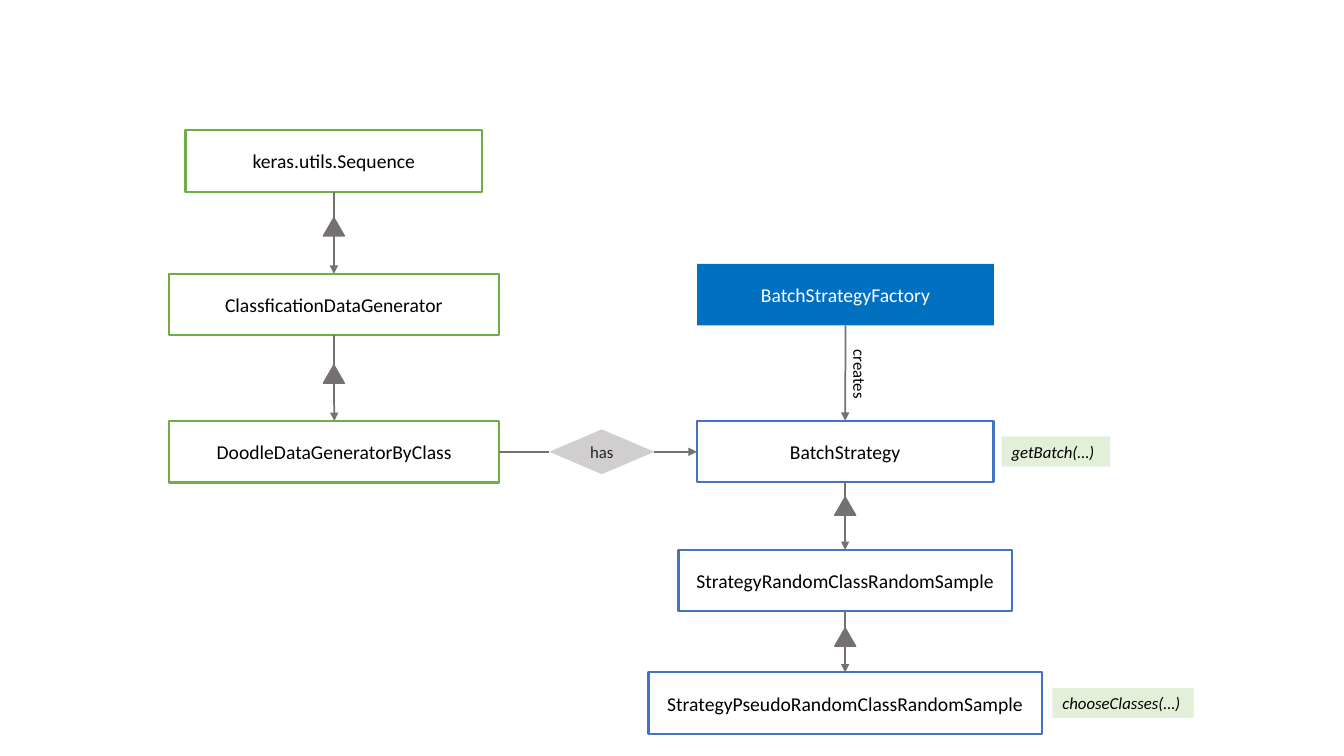
"""Build a class diagram of data generators and batch strategies."""
from dataclasses import dataclass

from lxml import etree
from pptx import Presentation
from pptx.dml.color import RGBColor
from pptx.enum.shapes import MSO_CONNECTOR, MSO_SHAPE
from pptx.enum.text import MSO_ANCHOR, PP_ALIGN
from pptx.oxml.ns import qn
from pptx.util import Pt

RECT, TRIANGLE, DIAMOND = MSO_SHAPE.RECTANGLE, MSO_SHAPE.ISOSCELES_TRIANGLE, MSO_SHAPE.DIAMOND
STRAIGHT = MSO_CONNECTOR.STRAIGHT
MIDDLE, TOP = MSO_ANCHOR.MIDDLE, MSO_ANCHOR.TOP
CENTER, LEFT = PP_ALIGN.CENTER, PP_ALIGN.LEFT


@dataclass(frozen=True)
class Theme:
    font: str = "Calibri"
    class_size: float = 14
    label_size: float = 12
    box_line: float = 1.5
    link_line: float = 1.25
    marker_line: float = 1
    white: str = "FFFFFF"
    black: str = "000000"
    generator: str = "70AD47"
    strategy: str = "4472C4"
    factory: str = "0070C0"
    link: str = "767171"
    relation: str = "D0CECE"
    relation_text: str = "262626"
    method: str = "E2F0D9"


THEME = Theme()
BOX_H = 44
MARKER_W, MARKER_H = 15, 13
METHOD_H = 21.6
GENERATOR_X, STRATEGY_X = 238.5, 603.7


@dataclass(frozen=True)
class ClassBox:
    name: str
    center: float
    top: float
    width: float
    line: str | None
    fill: str = THEME.white
    color: str = THEME.black

    @property
    def left(self) -> float:
        return self.center - self.width / 2

    @property
    def right(self) -> float:
        return self.center + self.width / 2

    @property
    def bottom(self) -> float:
        return self.top + BOX_H

    @property
    def middle(self) -> float:
        return self.top + BOX_H / 2


@dataclass(frozen=True)
class Inheritance:
    parent: ClassBox
    child: ClassBox
    marker_top: float


@dataclass(frozen=True)
class Method:
    text: str
    left: float
    top: float
    width: float


SEQUENCE = ClassBox("keras.utils.Sequence", GENERATOR_X, 93, 212, THEME.generator)
CLASSIFICATION = ClassBox("ClassficationDataGenerator", GENERATOR_X, 195.6, 235.5, THEME.generator)
DOODLE = ClassBox("DoodleDataGeneratorByClass", GENERATOR_X + 0.3, 300.7, 235.5, THEME.generator)
FACTORY = ClassBox("BatchStrategyFactory", STRATEGY_X + 0.3, 188.5, 212, None,
                   THEME.factory, THEME.white)
STRATEGY = ClassBox("BatchStrategy", STRATEGY_X, 300.5, 212, THEME.strategy)
RANDOM = ClassBox("StrategyRandomClassRandomSample", STRATEGY_X, 392.8, 238, THEME.strategy)
PSEUDO = ClassBox("StrategyPseudoRandomClassRandomSample", STRATEGY_X, 480.3, 281, THEME.strategy)

BOXES = [SEQUENCE, CLASSIFICATION, DOODLE, FACTORY, STRATEGY, RANDOM, PSEUDO]
INHERITANCES = [
    Inheritance(SEQUENCE, CLASSIFICATION, 155.5),
    Inheritance(CLASSIFICATION, DOODLE, 260.7),
    Inheritance(STRATEGY, RANDOM, 355),
    Inheritance(RANDOM, PSEUDO, 448.6),
]
METHODS = [
    Method("getBatch(…)", 715.5, 311.8, 77.5),
    Method("chooseClasses(…)", 751.7, 491.3, 101),
]


def add_shape(shapes, kind, left: float, top: float, width: float, height: float,
              fill: str, line: str | None = None, weight: float = THEME.box_line):
    """Add a preset shape with a flat fill and an optional outline."""
    s = shapes.add_shape(kind, Pt(left), Pt(top), Pt(width), Pt(height))
    s.shadow.inherit = False
    s.fill.solid()
    s.fill.fore_color.rgb = RGBColor.from_string(fill)
    if line:
        s.line.color.rgb = RGBColor.from_string(line)
        s.line.width = Pt(weight)
    else:
        s.line.fill.background()
    return s


def add_text(s, text: str, size: float, color: str = THEME.black, italic: bool = False,
             align=CENTER, anchor=MIDDLE, wrap: bool = True) -> None:
    """Write one formatted line of text into a shape."""
    tf = s.text_frame
    tf.word_wrap = wrap
    tf.vertical_anchor = anchor
    p = tf.paragraphs[0]
    p.alignment = align
    r = p.add_run()
    r.text = text
    font_format = {"name": THEME.font, "size": Pt(size), "italic": italic}
    for name, value in font_format.items():
        setattr(r.font, name, value)
    r.font.color.rgb = RGBColor.from_string(color)


def add_link(shapes, x1: float, y1: float, x2: float, y2: float, arrow: bool = False) -> None:
    """Add a straight line, with an arrowhead at its end if asked."""
    c = shapes.add_connector(STRAIGHT, Pt(x1), Pt(y1), Pt(x2), Pt(y2))
    c.line.color.rgb = RGBColor.from_string(THEME.link)
    c.line.width = Pt(THEME.link_line)
    if arrow:
        etree.SubElement(c.line._get_or_add_ln(), qn("a:tailEnd"), type="triangle")
    etree.SubElement(c._element.spPr, qn("a:effectLst"))


def add_box(shapes, box: ClassBox) -> None:
    """Add a class box with its name."""
    s = add_shape(shapes, RECT, box.left, box.top, box.width, BOX_H, box.fill, box.line)
    add_text(s, box.name, THEME.class_size, box.color)


def add_inheritance(shapes, link: Inheritance) -> None:
    """Add a grouped triangle and arrow from a parent class to its child."""
    group = shapes.add_group_shape().shapes
    x, top = link.parent.center, link.marker_top
    add_link(group, x, top + MARKER_H, link.child.center, link.child.top, arrow=True)
    add_shape(group, TRIANGLE, x - MARKER_W / 2, top, MARKER_W, MARKER_H,
              THEME.link, THEME.link, THEME.marker_line)
    add_link(group, x, link.parent.bottom, x, top)


def add_method(shapes, method: Method) -> None:
    """Add a tinted method label."""
    s = add_shape(shapes, RECT, method.left, method.top, method.width, METHOD_H, THEME.method)
    add_text(s, method.text, THEME.label_size, italic=True, align=LEFT, anchor=TOP, wrap=False)


def add_has_relation(shapes) -> None:
    """Add the diamond that ties the generator to its strategy."""
    left, width, height, y = 392.4, 75, 32, DOODLE.middle
    s = add_shape(shapes, DIAMOND, left, y - height / 2, width, height, THEME.relation)
    add_text(s, "has", THEME.label_size, THEME.relation_text)
    add_link(shapes, left + width, y, STRATEGY.left, y, arrow=True)
    add_link(shapes, DOODLE.right, y, left, y)


def add_creates_relation(shapes) -> None:
    """Add the arrow from the factory to the strategy with its turned label."""
    add_link(shapes, FACTORY.center, FACTORY.bottom, STRATEGY.center, STRATEGY.top, arrow=True)
    s = shapes.add_textbox(Pt(575.3), Pt(270.7), Pt(77.8), Pt(METHOD_H))
    s.rotation = 90
    add_text(s, "creates", THEME.label_size, align=LEFT, anchor=TOP)


def main() -> None:
    """Draw the diagram and save it."""
    prs = Presentation()
    prs.slide_width, prs.slide_height = Pt(960), Pt(540)
    shapes = prs.slides.add_slide(prs.slide_layouts.get_by_name("Blank")).shapes
    for draw, items in ((add_box, BOXES), (add_inheritance, INHERITANCES), (add_method, METHODS)):
        for item in items:
            draw(shapes, item)
    add_has_relation(shapes)
    add_creates_relation(shapes)
    prs.save("out.pptx")


if __name__ == "__main__":
    main()
